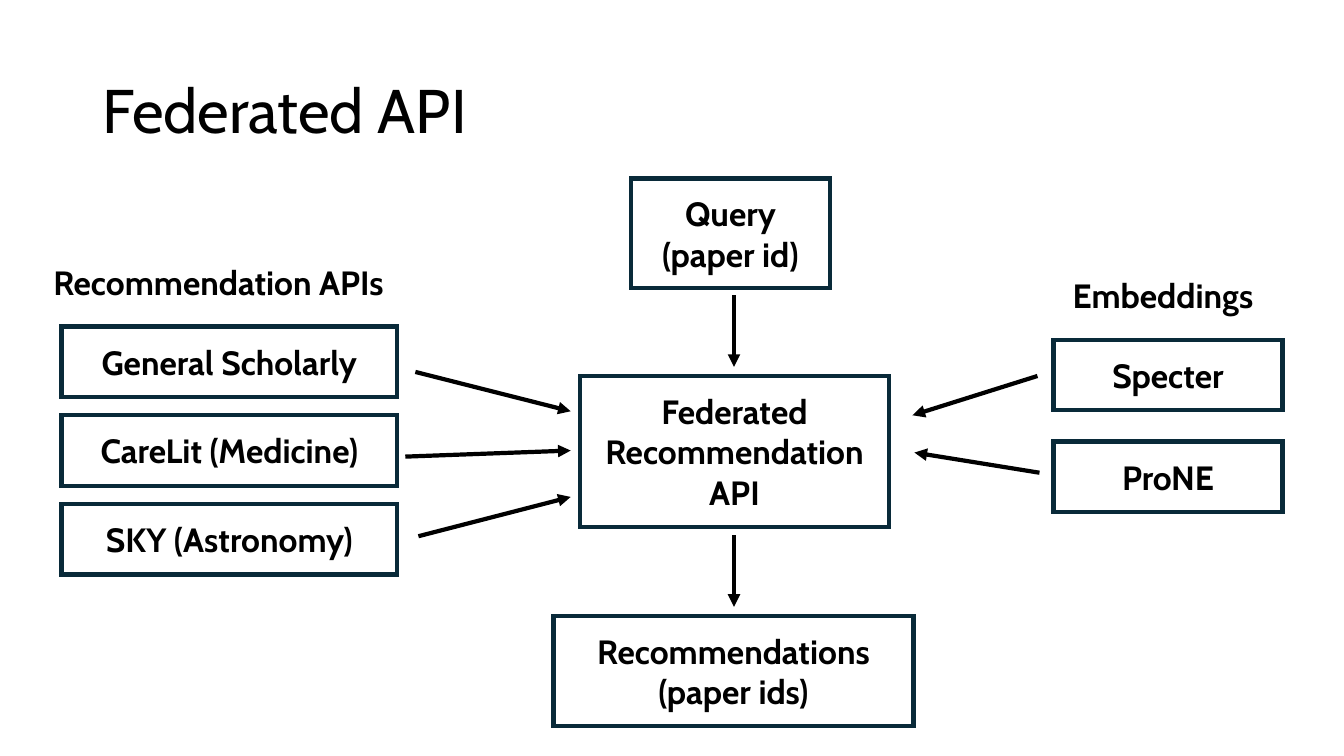
from pptx import Presentation
from pptx.dml.color import RGBColor
from pptx.enum.shapes import MSO_CONNECTOR, MSO_SHAPE
from pptx.enum.text import MSO_ANCHOR, MSO_AUTO_SIZE, PP_ALIGN
from pptx.oxml.ns import qn
from pptx.util import Inches, Pt
from lxml import etree

# Content
TITLE = "Federated API"
SOURCES = ["General Scholarly", "CareLit (Medicine)", "SKY (Astronomy)"]
EMBEDDINGS = ["Specter", "ProNE"]
# Central flow: lines, left, top, width, height
FLOW = [
    (["Query", "(paper id)"], 6.26, 1.77, 1.97, 1.09),
    (["Federated Recommendation API"], 5.75, 3.73, 3.07, 1.5),
    (["Recommendations", "(paper ids)"], 5.49, 6.11, 3.57, 1.09),
]
# Side columns: heading, heading box, items, left, top, width, pitch
COLUMNS = [
    ("Recommendation APIs", (0.43, 2.55, 3.69, 0.5), SOURCES, 0.61, 3.24, 3.33, 0.88),
    ("Embeddings", (10.54, 2.68, 2.11, 0.5), EMBEDDINGS, 10.45, 3.37, 2.27, 1.01),
]
ITEM_HEIGHT = 0.7
# Arrows: start x, start y, end x, end y
ARROWS = [
    (7.28, 2.93, 7.28, 3.64),
    (7.28, 5.31, 7.28, 6.02),
    (4.12, 3.69, 5.66, 4.08),
    (4.02, 4.53, 5.66, 4.47),
    (4.15, 5.32, 5.66, 4.93),
    (10.29, 3.73, 9.05, 4.12),
    (10.31, 4.69, 9.07, 4.49),
]
COLOURS = {"outline": "092A39", "ink": "000000", "paper": "FFFFFF"}
FONT = "Cabin"


def colour(name):
    return RGBColor.from_string(COLOURS[name])


def write(frame, lines, size=24, bold=True, align=PP_ALIGN.LEFT):
    for index, line in enumerate(lines):
        para = frame.paragraphs[0] if index == 0 else frame.add_paragraph()
        para.alignment = align
        span = para.add_run()
        span.text = line
        span.font.name = FONT
        span.font.size = Pt(size)
        span.font.bold = bold
        span.font.color.rgb = colour("ink")


def add_box(page, lines, *place):
    box = page.shapes.add_shape(MSO_SHAPE.RECTANGLE, *map(Inches, place))
    box.shadow.inherit = False
    box.fill.background()
    box.line.color.rgb = colour("outline")
    box.line.width = Pt(3)
    etree.SubElement(box.line._get_or_add_ln(), qn("a:miter"), lim="800000")
    box.text_frame.word_wrap = True
    box.text_frame.vertical_anchor = MSO_ANCHOR.MIDDLE
    write(box.text_frame, lines, align=PP_ALIGN.CENTER)


def add_heading(page, text, place):
    frame = page.shapes.add_textbox(*map(Inches, place)).text_frame
    frame.word_wrap = False
    frame.auto_size = MSO_AUTO_SIZE.SHAPE_TO_FIT_TEXT
    write(frame, [text])


def add_arrow(page, *ends):
    arrow = page.shapes.add_connector(MSO_CONNECTOR.STRAIGHT, *map(Inches, ends))
    arrow.line.color.rgb = colour("ink")
    arrow.line.width = Pt(3)
    etree.SubElement(arrow.line._get_or_add_ln(), qn("a:tailEnd"), type="triangle")
    etree.SubElement(arrow._element.spPr, qn("a:effectLst"))


def main():
    deck = Presentation()
    deck.slide_width, deck.slide_height = Inches(13.33), Inches(7.5)
    page = deck.slides.add_slide(deck.slide_layouts[6])
    page.background.fill.solid()
    page.background.fill.fore_color.rgb = colour("paper")

    # Title
    frame = page.shapes.add_textbox(*map(Inches, (0.92, 0.4, 11.5, 1.45))).text_frame
    frame.word_wrap = True
    frame.vertical_anchor = MSO_ANCHOR.MIDDLE
    write(frame, [TITLE], size=44, bold=False)
    frame.paragraphs[0].line_spacing = 0.9

    # Central flow
    for lines, *place in FLOW:
        add_box(page, lines, *place)

    # Side columns
    for heading, place, items, left, top, width, pitch in COLUMNS:
        add_heading(page, heading, place)
        for row, item in enumerate(items):
            add_box(page, [item], left, top + row * pitch, width, ITEM_HEIGHT)

    # Arrows
    for ends in ARROWS:
        add_arrow(page, *ends)

    deck.save("out.pptx")


if __name__ == "__main__":
    main()
